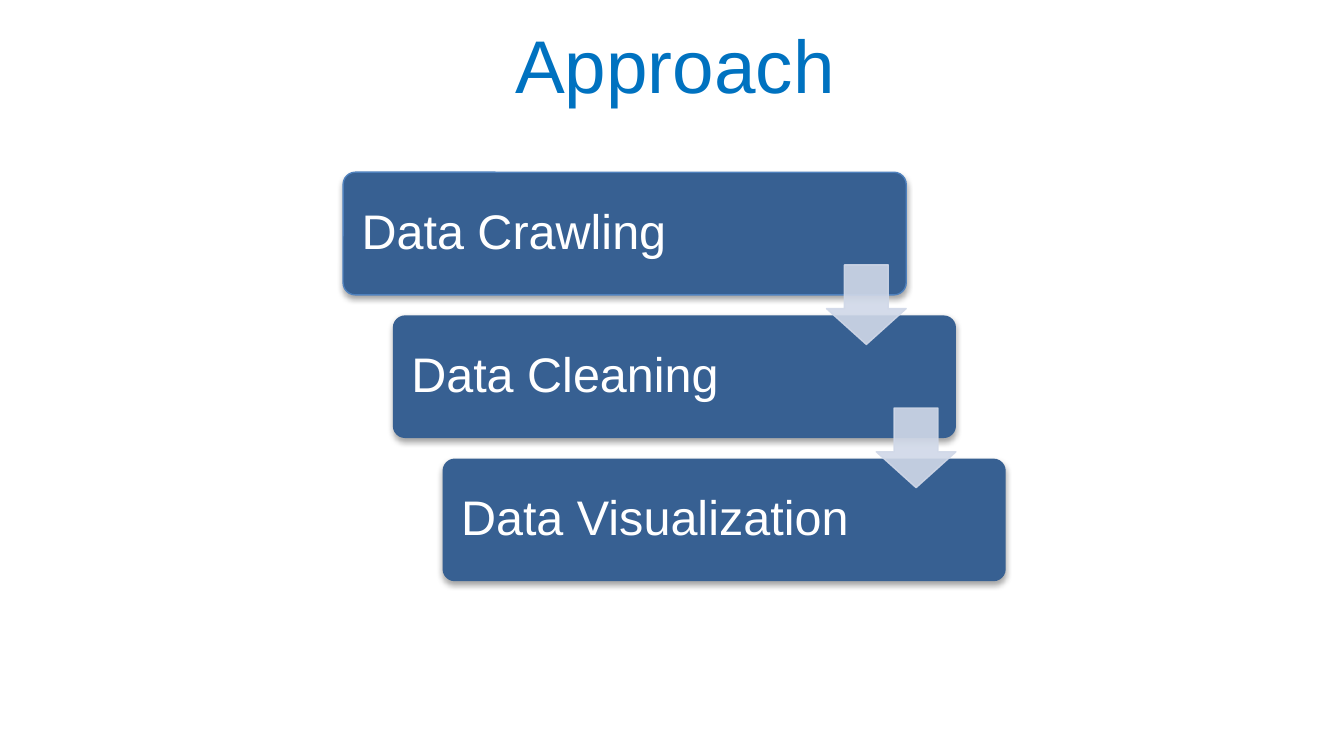
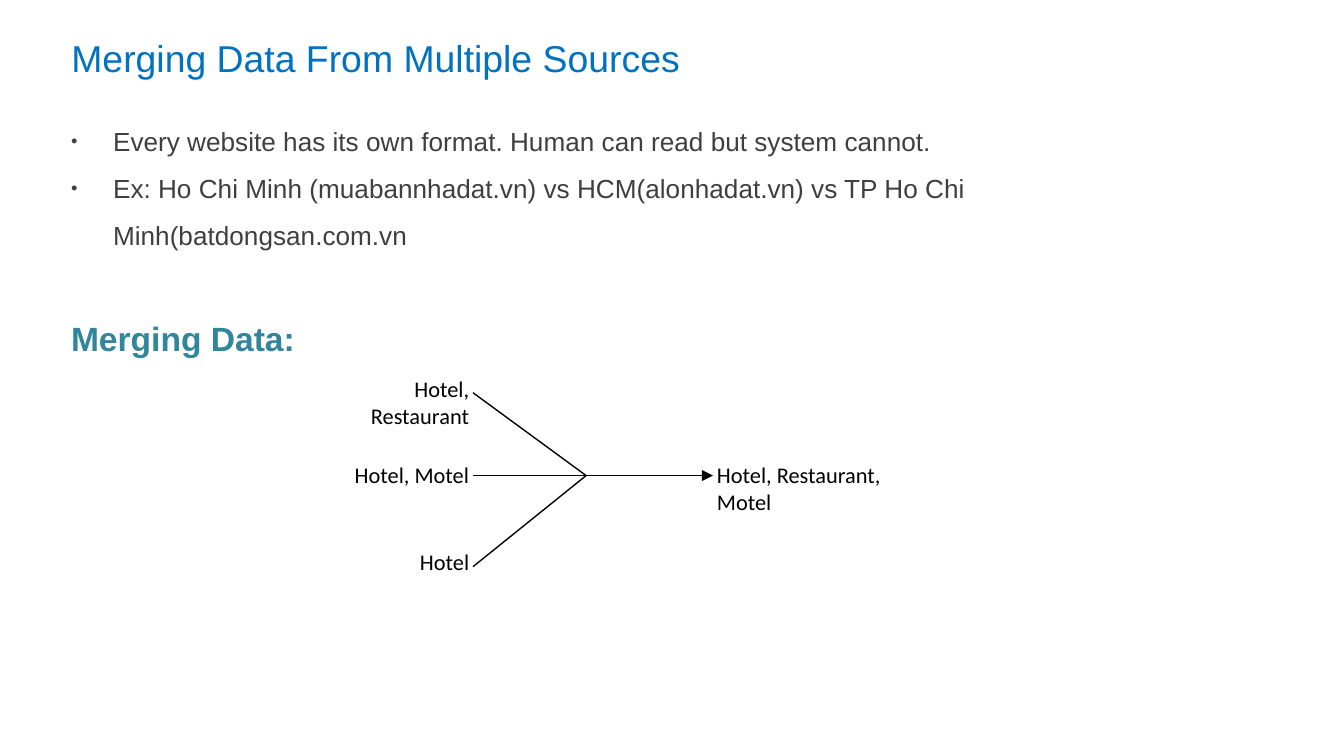
import pptx
import pptx.chart.data
import pptx.dml.color
import pptx.enum.shapes
import pptx.enum.text
import pptx.oxml
import pptx.oxml.ns
import pptx.util
from lxml import etree

Pt = pptx.util.Pt
Align = pptx.enum.text.PP_ALIGN
Anchor = pptx.enum.text.MSO_ANCHOR
Preset = pptx.enum.shapes.MSO_SHAPE
qn = pptx.oxml.ns.qn

COLORS = {
    "title": "0072C0",
    "step": "376092",
    "step_border": "4F81BD",
    "arrow": "D0D8E8",
    "white": "FFFFFF",
    "body": "3F3F3F",
    "heading": "31859C",
    "black": "000000",
}


class Deck:
    def __init__(self):
        self.presentation = pptx.Presentation()
        self.presentation.slide_width = Pt(720)
        self.presentation.slide_height = Pt(405)
        self.slide = None

    def color(self, name):
        return pptx.dml.color.RGBColor.from_string(COLORS[name])

    def style(self, paragraph, size, color, font="Arial", bold=False, align=Align.LEFT):
        paragraph.alignment = align
        paragraph.font.name = font
        paragraph.font.size = Pt(size)
        paragraph.font.bold = bold
        paragraph.font.color.rgb = self.color(color)

    def frame(self, shape, margins, anchor=Anchor.TOP):
        text_frame = shape.text_frame
        text_frame.word_wrap = True
        text_frame.auto_size = pptx.enum.text.MSO_AUTO_SIZE.NONE
        text_frame.vertical_anchor = anchor
        (text_frame.margin_left, text_frame.margin_top,
         text_frame.margin_right, text_frame.margin_bottom) = map(Pt, margins)
        return text_frame

    def add_slide(self, title, left, top, width, size, align=Align.LEFT):
        self.slide = self.presentation.slides.add_slide(self.presentation.slide_layouts[5])
        shape = self.slide.shapes.title
        shape.left, shape.top, shape.width, shape.height = Pt(left), Pt(top), Pt(width), Pt(49.7)
        text_frame = self.frame(shape, (7.2, 7.2, 7.2, 7.2), Anchor.MIDDLE)
        text_frame.text = title
        self.style(text_frame.paragraphs[0], size, "title", align=align)

    def shape(self, preset, left, top, width, height, fill, border=None, adjustments=()):
        shape = self.slide.shapes.add_shape(preset, Pt(left), Pt(top), Pt(width), Pt(height))
        for index, value in enumerate(adjustments):
            shape.adjustments[index] = value
        shape.shadow.inherit = False
        shape.fill.solid()
        shape.fill.fore_color.rgb = self.color(fill)
        if border:
            shape.line.color.rgb = self.color(border)
            shape.line.width = Pt(0.75)
        else:
            shape.line.fill.background()
        return shape

    def step(self, text, left, top, width, height, border=None):
        shape = self.shape(Preset.ROUNDED_RECTANGLE, left, top, width, height,
                           "step", border, [0.1])
        effects = shape._element.spPr.find(qn("a:effectLst"))
        shadow = etree.SubElement(effects, qn("a:outerShdw"), blurRad=str(Pt(3.1)),
                                  dist=str(Pt(1.8)), dir="5400000", rotWithShape="0")
        shadow_color = etree.SubElement(shadow, qn("a:srgbClr"), val=COLORS["black"])
        etree.SubElement(shadow_color, qn("a:alpha"), val="35000")
        text_frame = self.frame(shape, (8, 8, 8, 8), Anchor.MIDDLE)
        text_frame.text = text
        paragraph = text_frame.paragraphs[0]
        paragraph.line_spacing = 0.9
        self.style(paragraph, 26, "white")

    def down_arrow(self, left, top, size):
        shape = self.shape(Preset.DOWN_ARROW, left, top, size, size,
                           "arrow", "arrow", [0.55, 0.45])
        for element in shape._element.spPr.iter(qn("a:srgbClr")):
            etree.SubElement(element, qn("a:alpha"), val="90000")

    def text_box(self, left, top, width, height):
        box = self.slide.shapes.add_textbox(Pt(left), Pt(top), Pt(width), Pt(height))
        return self.frame(box, (7.2, 3.6, 7.2, 3.6))

    def label(self, text, left, top, width, align=Align.LEFT):
        text_frame = self.text_box(left, top, width, 21)
        text_frame.text = text
        self.style(text_frame.paragraphs[0], 12, "black", "Calibri", align=align)

    def bullet(self, paragraph):
        properties = paragraph._p.get_or_add_pPr()
        properties.set("marL", str(Pt(22.5)))
        properties.set("indent", str(-Pt(22.5)))
        etree.SubElement(properties, qn("a:buSzPct"), val="70000")
        etree.SubElement(properties, qn("a:buFont"), typeface="Arial")
        etree.SubElement(properties, qn("a:buChar"), char="•")

    def body(self, left, top, width, height, bullets, heading):
        text_frame = self.text_box(left, top, width, height)
        text_frame.text = "\n".join([*bullets, heading])
        *bullet_paragraphs, heading_paragraph = text_frame.paragraphs
        for paragraph in bullet_paragraphs:
            self.bullet(paragraph)
            paragraph.line_spacing = 1.5
            self.style(paragraph, 14, "body")
        heading_paragraph.line_spacing = 1.5
        heading_paragraph.space_before = Pt(25)
        self.style(heading_paragraph, 18, "heading", bold=True)

    def line(self, start, end, arrowhead=False):
        connector = self.slide.shapes.add_connector(
            pptx.enum.shapes.MSO_CONNECTOR.STRAIGHT, *map(Pt, (*start, *end)))
        connector.line.color.rgb = self.color("black")
        connector.line.width = Pt(0.75)
        properties = connector._element.spPr
        if arrowhead:
            etree.SubElement(properties.find(qn("a:ln")), qn("a:tailEnd"), type="triangle")
        etree.SubElement(properties, qn("a:effectLst"))


def add_approach(deck):
    deck.add_slide("Approach", 0, 9.4, 723, 40, Align.CENTER)
    steps = ["Data Crawling", "Data Cleaning", "Data Visualization"]
    left, top, shift, pitch = 183.8, 92.3, 26.65, 76.7
    width, height, arrow_size = 301.7, 65.7, 42.7
    for index, text in enumerate(steps):
        deck.step(text, left + index * shift, top + index * pitch, width, height,
                  None if index else "step_border")
    for index in range(len(steps) - 1):
        deck.down_arrow(left + width - arrow_size + index * shift,
                        top + 49.6 + index * pitch, arrow_size)


def add_merging(deck):
    deck.add_slide("Merging Data From Multiple Sources", 31, 5.8, 692, 20)
    deck.body(31, 55.4, 637, 289, [
        "Every website has its own format. Human can read but system cannot.",
        "Ex: Ho Chi Minh (muabannhadat.vn) vs HCM(alonhadat.vn) vs "
        "TP Ho Chi Minh(batdongsan.com.vn",
    ], "Merging Data:")
    junction = (314, 254.8)
    sources = [
        ("Hotel, Restaurant", 197.3, 210.4),
        ("Hotel, Motel", 243.4, 254.8),
        ("Hotel", 290.2, 303.6),
    ]
    for text, label_top, line_top in sources:
        deck.label(text, 162, label_top, 96.5, Align.RIGHT)
        deck.line((253.4, line_top), junction)
    deck.label("Hotel, Restaurant, Motel", 377, 243.4, 113)
    deck.line(junction, (382, 254.8), arrowhead=True)


def main():
    deck = Deck()
    add_approach(deck)
    add_merging(deck)
    deck.presentation.save("out.pptx")


if __name__ == "__main__":
    main()
